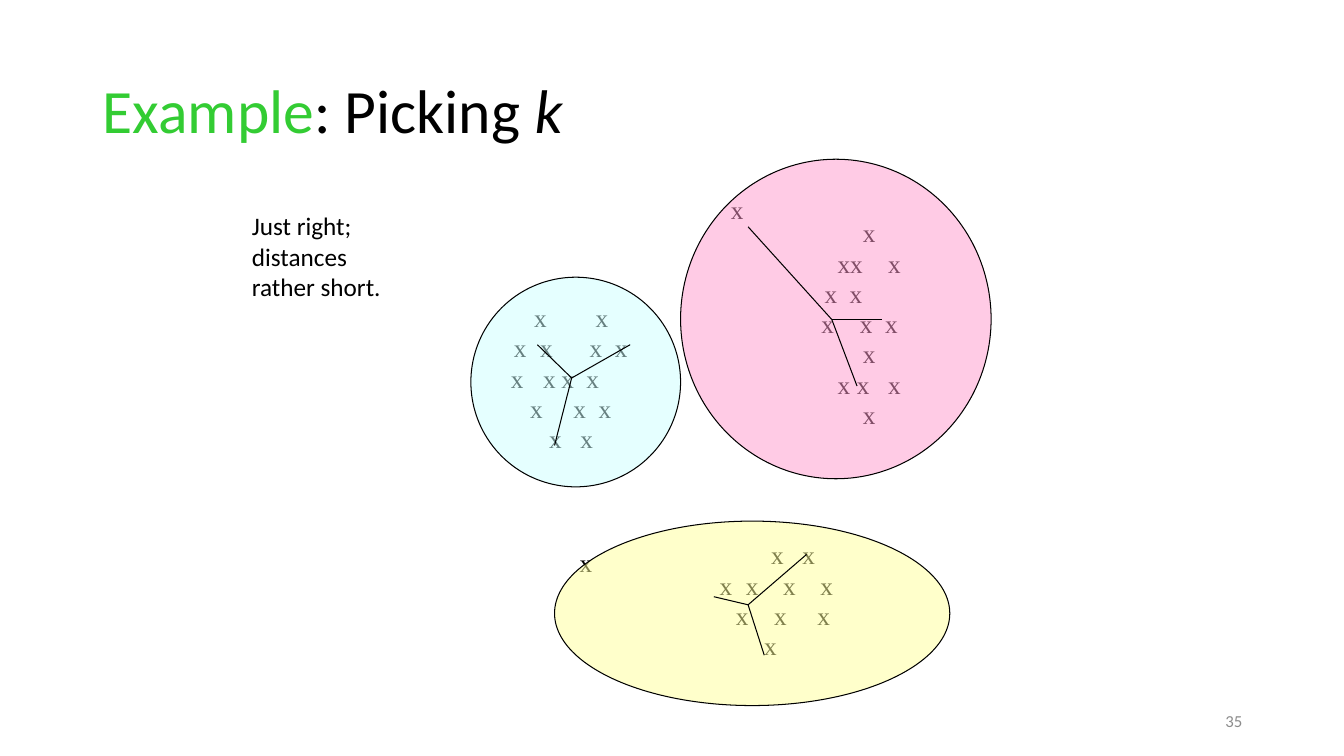
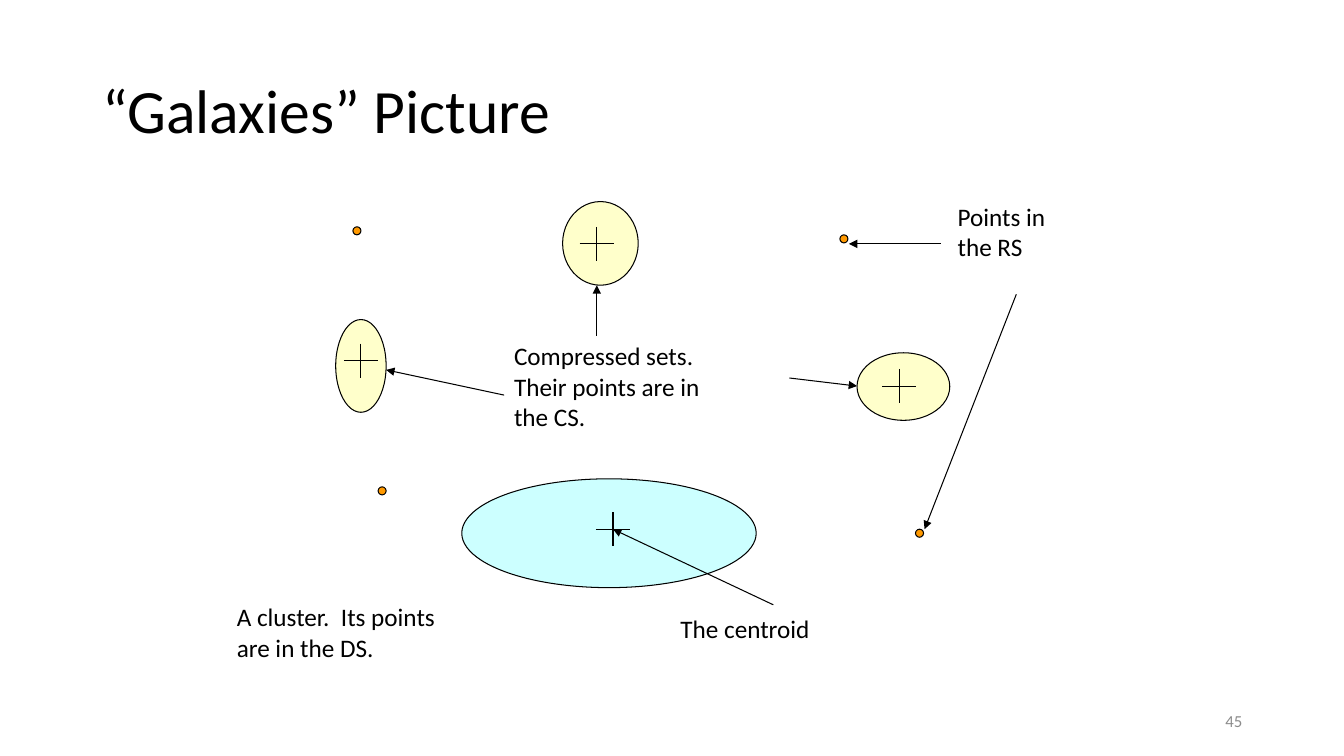
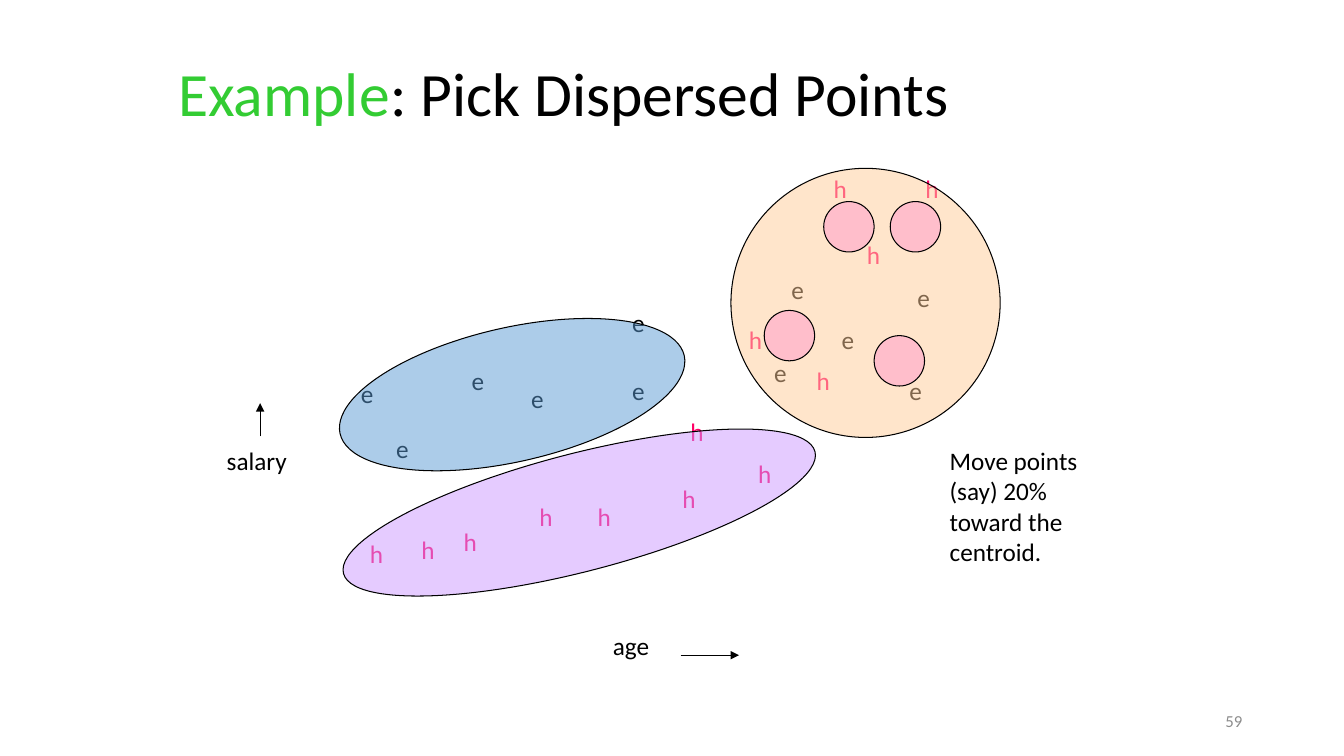
from lxml import etree
from pptx import Presentation
from pptx.dml.color import RGBColor
from pptx.enum.shapes import MSO_CONNECTOR, MSO_SHAPE
from pptx.enum.text import MSO_ANCHOR, PP_ALIGN
from pptx.oxml.ns import qn
from pptx.util import Inches, Pt

OVAL = MSO_SHAPE.OVAL
STRAIGHT = MSO_CONNECTOR.STRAIGHT
MIDDLE = MSO_ANCHOR.MIDDLE
RIGHT = PP_ALIGN.RIGHT

SANS, SERIF = "Calibri", "Times New Roman"
BLACK, GREEN, GREY, RED = "000000", "33CC33", "8C8C8C", "FF0066"
YELLOW, CYAN, PINK, ORANGE = "FFFF99", "CCFFFF", "FF99CC", "FF9900"
BLUE, PEACH, PURPLE = "5B9BD5", "FFCC99", "CC99FF"

TITLE_BOX = (0.92, 0.4, 11.5, 1.45)
NUMBER_BOX = (9.42, 6.95, 3, 0.4)
MARK_STYLES = {"x": (SERIF, BLACK), "h": (SANS, RED)}
ARM = 0.17  # half the width of a centroid cross


def color(hex_value):
    return RGBColor.from_string(hex_value)


def add_text(slide, box, text, size=18, font=SANS, ink=BLACK):
    """Add a wrapped text box, one paragraph per line, and return its frame."""
    frame = slide.shapes.add_textbox(*[Inches(v) for v in box]).text_frame
    frame.word_wrap = True
    frame.text = text
    for paragraph in frame.paragraphs:
        for run in paragraph.runs:
            run.font.name = font
            run.font.size = Pt(size)
            run.font.color.rgb = color(ink)
    return frame


# Point clusters: box, then for each row the centres of its marks
point_clusters = [
    ((4.67, 2.5, 2, 2.5), [
        [5.36, 5.97], [5.16, 5.42, 5.91, 6.16], [5.13, 5.45, 5.63, 5.88],
        [5.32, 5.75, 6], [5.51, 5.82]]),
    ((7.67, 1.67, 1.92, 3.08), [
        [8.62], [8.37, 8.49, 8.87], [8.24, 8.49], [8.21, 8.59, 8.84],
        [8.62], [8.37, 8.56, 8.87], [8.62]]),
    ((6.67, 5.08, 2.08, 1.75), [
        [7.71, 8.02], [7.2, 7.46, 7.83, 8.2], [7.36, 7.74, 8.17], [7.64]]),
]

# Distances from each centroid to some of its points
spokes = [
    ((5.67, 3.75), [(5.33, 3.42), (6.25, 3.42), (5.5, 4.42)]),
    ((7.42, 6), [(7.08, 5.92), (8, 5.5), (7.58, 6.5)]),
    ((8.25, 3.17), [(7.42, 2.25), (8.75, 3.17), (8.5, 3.83)]),
]

centroids = [(6.08, 5.25), (3.58, 3.58), (8.92, 3.83), (5.92, 2.42)]
crosses = []
for x, y in centroids:
    crosses += [(x, y - ARM, x, y + ARM), (x - ARM, y, x + ARM, y)]

retained_points = [(3.5, 2.25), (3.75, 4.83), (9.08, 5.25), (8.33, 2.33)]
moved_points = [(8.17, 2), (8.83, 2), (7.58, 3.08), (8.67, 3.33)]
e_points = [(3.48, 3.7), (5.17, 3.75), (6.17, 3), (7.58, 3.5), (7.75, 2.67),
            (9, 2.75), (3.83, 4.25), (4.58, 3.58), (6.17, 3.67),
            (8.25, 3.17), (8.92, 3.67)]
h_points = [(3.57, 5.29), (7.33, 3.17), (7.42, 4.5), (8, 3.58), (8.5, 2.33),
            (9.08, 1.67), (5.25, 4.92), (5.83, 4.92), (6.75, 4.08),
            (6.67, 4.75), (8.17, 1.67), (4.08, 5.25), (4.5, 5.17)]

# texts: box, text; ovals: box, fill, opacity %, rotation; lines: x1, y1, x2, y2
slides = [
    {
        "title": [("Example", GREEN, False), (": Picking ", BLACK, False),
                  ("k", BLACK, True)],
        "number": "35",
        "clusters": point_clusters,
        "texts": [
            ((7.15, 1.88, 0.37, 0.5), "x"),
            ((5.65, 5.38, 0.37, 0.5), "x"),
            ((2.4, 2.04, 2.05, 1.31),
             "Just right;\ndistances\nrather short."),
        ],
        "ovals": [
            ((5.5, 5.17, 3.92, 1.83), YELLOW, 50, 0),
            ((4.67, 2.75, 2.08, 2.08), CYAN, 50, 0),
            ((6.75, 1.58, 3.08, 3.17), PINK, 50, 0),
        ],
        "lines": [(*hub, *tip) for hub, tips in spokes for tip in tips],
    },
    {
        "title": [("“Galaxies” Picture", BLACK, False)],
        "number": "45",
        "texts": [
            ((2.25, 5.92, 3.15, 0.91),
             "A cluster.  Its points\nare in the DS."),
            ((6.65, 6.04, 2.05, 0.5), "The centroid"),
            ((5, 3.33, 2.91, 1.31),
             "Compressed sets.\nTheir points are in\nthe CS."),
            ((9.4, 1.95, 1.46, 0.91), "Points in\nthe RS"),
        ],
        "ovals": [
            ((4.58, 4.75, 2.92, 1.08), CYAN, 100, 0),
            ((3.33, 3.17, 0.5, 0.92), YELLOW, 50, 0),
            ((8.5, 3.5, 0.92, 0.67), YELLOW, 50, 0),
            ((5.58, 2, 0.75, 0.83), YELLOW, 50, 0),
            *[((*point, 0.08, 0.08), ORANGE, 100, 0)
              for point in retained_points],
        ],
        "lines": crosses,
        "arrows": [
            (7.67, 6, 6.08, 5.25),
            (5, 3.92, 3.83, 3.67),
            (5.92, 3.33, 5.92, 2.83),
            (7.83, 3.75, 8.5, 3.83),
            (9.33, 2.42, 8.42, 2.42),
            (10.08, 2.92, 9.17, 5.25),
        ],
    },
    {
        "title": [("Example", GREEN, False),
                  (": Pick Dispersed Points", BLACK, False)],
        "title_box": (1.67, 0.33, 10, 1.25),
        "number": "59",
        "texts": [
            *[((*point, 0.38, 0.5), "e") for point in e_points],
            *[((*point, 0.39, 0.5), "h") for point in h_points],
            ((2.15, 4.37, 1.06, 0.5), "salary"),
            ((5.98, 6.2, 0.74, 0.5), "age"),
            ((9.32, 4.37, 1.99, 1.72),
             "Move points\n(say) 20%\ntoward the\ncentroid."),
        ],
        "ovals": [
            ((3.33, 3.25, 3.5, 1.33), BLUE, 50, 347.2),
            ((7.25, 1.67, 2.67, 2.67), PEACH, 50, 0),
            ((3.33, 4.5, 4.83, 1.17), PURPLE, 50, 345.5),
            *[((*point, 0.5, 0.5), PINK, 50, 0) for point in moved_points],
        ],
        "arrows": [(6.75, 6.5, 7.33, 6.5), (2.58, 4.33, 2.58, 4)],
    },
]

prs = Presentation()
prs.slide_width, prs.slide_height = Inches(13.33), Inches(7.5)

for content in slides:
    slide = prs.slides.add_slide(prs.slide_layouts[6])

    wording = "".join(part for part, _, _ in content["title"])
    title = add_text(slide, content.get("title_box", TITLE_BOX), "")
    title.vertical_anchor = MIDDLE
    title.paragraphs[0].line_spacing = 0.9
    for part, ink, italic in content["title"]:
        run = title.paragraphs[0].add_run()
        run.text = part
        run.font.name, run.font.size = SANS, Pt(44)
        run.font.color.rgb = color(ink)
        run.font.italic = italic

    number = add_text(slide, NUMBER_BOX, content["number"], 12, ink=GREY)
    number.vertical_anchor = MIDDLE
    number.paragraphs[0].alignment = RIGHT

    for box, rows in content.get("clusters", []):
        marks = add_text(slide, box, "\n".join("\tx" * len(row) for row in rows),
                         font=SERIF)
        marks.vertical_anchor = MIDDLE
        marks.margin_left = marks.margin_right = 0
        for paragraph, row in zip(marks.paragraphs, rows):
            paragraph.line_spacing = Pt(21.6)
            stops = etree.SubElement(paragraph._p.get_or_add_pPr(), qn("a:tabLst"))
            for centre in row:
                etree.SubElement(stops, qn("a:tab"), algn="ctr",
                                 pos=str(Inches(centre - box[0])))

    for box, text in content["texts"]:
        font, ink = MARK_STYLES.get(text, (SANS, BLACK))
        add_text(slide, box, text, font=font, ink=ink)

    for box, fill, opacity, rotation in content["ovals"]:
        oval = slide.shapes.add_shape(OVAL, *[Inches(v) for v in box])
        oval.shadow.inherit = False
        oval.rotation = rotation
        oval.fill.solid()
        oval.fill.fore_color.rgb = color(fill)
        oval.line.color.rgb = color(BLACK)
        oval.line.width = Pt(0.75)
        if opacity < 100:
            shade = oval._element.spPr.find(qn("a:solidFill"))[0]
            etree.SubElement(shade, qn("a:alpha"), val=str(opacity * 1000))

    arrows = content.get("arrows", [])
    for ends in content.get("lines", []) + arrows:
        line = slide.shapes.add_connector(STRAIGHT, *[Inches(v) for v in ends])
        line.line.color.rgb = color(BLACK)
        line.line.width = Pt(0.75)
        if ends in arrows:
            etree.SubElement(line.line._get_or_add_ln(), qn("a:tailEnd"),
                             type="triangle")
        etree.SubElement(line._element.spPr, qn("a:effectLst"))

prs.save("out.pptx")
